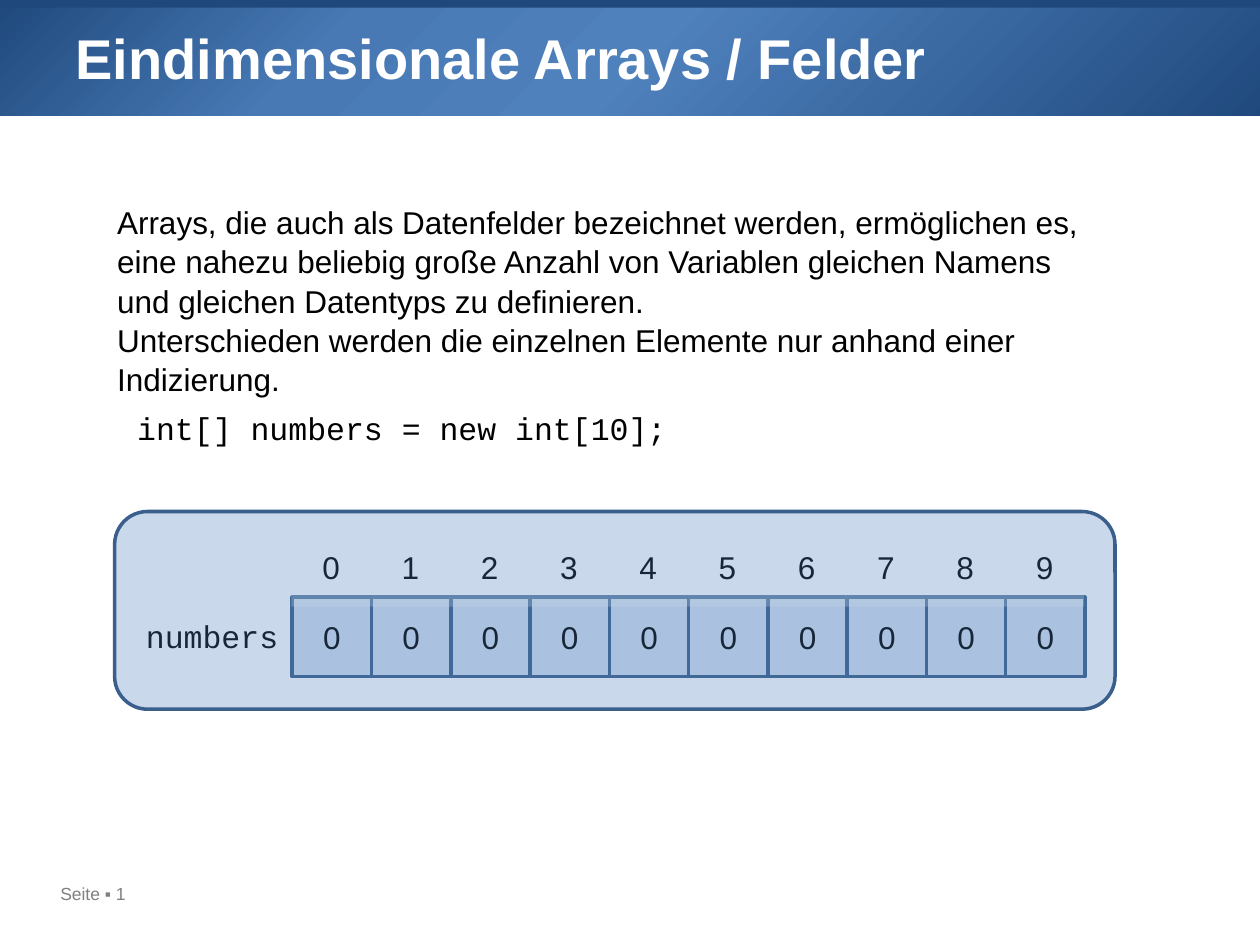
from dataclasses import dataclass

from lxml import etree
from pptx import Presentation
from pptx.dml.color import RGBColor
from pptx.enum.shapes import MSO_SHAPE
from pptx.enum.text import MSO_ANCHOR, MSO_AUTO_SIZE, PP_ALIGN
from pptx.oxml import parse_xml
from pptx.oxml.ns import nsdecls, qn
from pptx.util import Pt

RECT, ROUNDED = MSO_SHAPE.RECTANGLE, MSO_SHAPE.ROUNDED_RECTANGLE
TOP, MIDDLE = MSO_ANCHOR.TOP, MSO_ANCHOR.MIDDLE
LEFT, CENTER = PP_ALIGN.LEFT, PP_ALIGN.CENTER


@dataclass(frozen=True)
class Theme:
    navy: str = "1F497D"
    mid_blue: str = "4879B4"
    blue: str = "4F81BD"
    outline: str = "3A5F8C"
    white: str = "FFFFFF"
    black: str = "000000"
    gray: str = "808080"
    sans: str = "Arial"
    mono: str = "Courier New"
    title: int = 32
    body: int = 18
    footer: int = 10
    line: int = 2


T = Theme()


def rgb(color):
    return RGBColor.from_string(color)


def style(tf, size=T.body, color=T.black, font=T.sans, align=LEFT, bold=False):
    for p in tf.paragraphs:
        p.alignment = align
        for r in p.runs:
            r.font.name, r.font.size, r.font.bold = font, Pt(size), bold
            r.font.color.rgb = rgb(color)


def add_text(s, box, text, wrap=True, **look):
    tf = s.shapes.add_textbox(*map(Pt, box)).text_frame
    tf.word_wrap = wrap
    tf.text = text
    style(tf, **look)
    return tf


def add_block(s, box, fill, opacity=100, line=None, kind=RECT, text=""):
    sp = s.shapes.add_shape(kind, *map(Pt, box))
    sp.shadow.inherit = False
    sp.fill.solid()
    sp.fill.fore_color.rgb = rgb(fill)
    if opacity < 100:
        clr = sp.fill._xPr.find(qn("a:solidFill"))[0]
        etree.SubElement(clr, qn("a:alpha"), val=str(opacity * 1000))
    if line:
        sp.line.color.rgb = rgb(line)
        sp.line.width = Pt(T.line)
    else:
        sp.line.fill.background()
    if text:
        tf = sp.text_frame
        tf.vertical_anchor = MIDDLE
        tf.text = text
        style(tf, align=CENTER)
    return sp


def set_radial_gradient(sp, stops):
    """Circular gradient with its focus in the bottom-right fill rectangle."""
    gs = "".join(f'<a:gs pos="{pos * 1000}"><a:srgbClr val="{color}"/></a:gs>'
                 for pos, color in stops)
    solid = sp.fill._xPr.find(qn("a:solidFill"))
    solid.getparent().replace(solid, parse_xml(
        f'<a:gradFill {nsdecls("a")} rotWithShape="1"><a:gsLst>{gs}</a:gsLst>'
        '<a:path path="circle"><a:fillToRect r="100000" b="100000"/></a:path>'
        '</a:gradFill>'))


def header(s, x, y, w, h, title):
    # Gradient band with a dark strip on top
    band = add_block(s, (x, y, w, h), T.navy)
    set_radial_gradient(band, [(0, T.navy), (27, T.mid_blue),
                               (50, T.blue), (100, T.navy)])
    add_block(s, (x, y - 1.4, w, 6.5), T.navy)

    # Title, moved in front of the band
    sp = s.shapes.title
    sp.left, sp.top, sp.width, sp.height = map(Pt, (x + 36.7, y + 10.8, 648, 90))
    tf = sp.text_frame
    tf.text = title
    tf.vertical_anchor = TOP
    tf.auto_size = MSO_AUTO_SIZE.NONE
    style(tf, T.title, T.white, bold=True)
    s.shapes._spTree.append(sp._element)


def explanation(s, x, y, w, lines, code):
    tf = add_text(s, (x, y, w, 94.3), "\n".join(lines))
    for p in tf.paragraphs:
        p.line_spacing = 1.04
    add_text(s, (x + 11.5, y + 118.8, w, 29), code, font=T.mono)


def array_diagram(s, x, y, w, h, name, values):
    size, pitch = 45.36, 45.3
    cells_x, cells_y, index_y = x + 101.5, y + 49, y + 9

    # Value cells, then the index labels above them
    for i, value in enumerate(values):
        add_block(s, (cells_x + i * pitch, cells_y, size, size),
                  T.blue, 25, T.outline, text=str(value))
    for i in range(len(values)):
        add_block(s, (cells_x - 0.5 + i * pitch, index_y, size, size),
                  T.white, 25, text=str(i))

    # Variable name and translucent panel over everything
    add_text(s, (x + 10.8, y + 57, 90.7, 29), name, wrap=False, font=T.mono)
    add_block(s, (x, y, w, h), T.blue, 30, T.outline, ROUNDED)


def main():
    prs = Presentation()
    prs.slide_width, prs.slide_height = Pt(720), Pt(540)
    s = prs.slides.add_slide(prs.slide_layouts[5])

    header(s, -0.7, -0.7, 728.6, 67, "Eindimensionale Arrays / Felder")
    add_text(s, (27.4, 501.1, 105.8, 19.4), "Seite ▪ 1",
             size=T.footer, color=T.gray)
    explanation(s, 59.8, 111.6, 583.9, [
        "Arrays, die auch als Datenfelder bezeichnet werden, ermöglichen es,",
        "eine nahezu beliebig große Anzahl von Variablen gleichen Namens",
        "und gleichen Datentyps zu definieren.",
        "Unterschieden werden die einzelnen Elemente nur anhand einer Indizierung.",
    ], "int[] numbers = new int[10];")
    array_diagram(s, 65.5, 292.3, 571.7, 113, "numbers", [0] * 10)

    prs.save("out.pptx")


if __name__ == "__main__":
    main()
